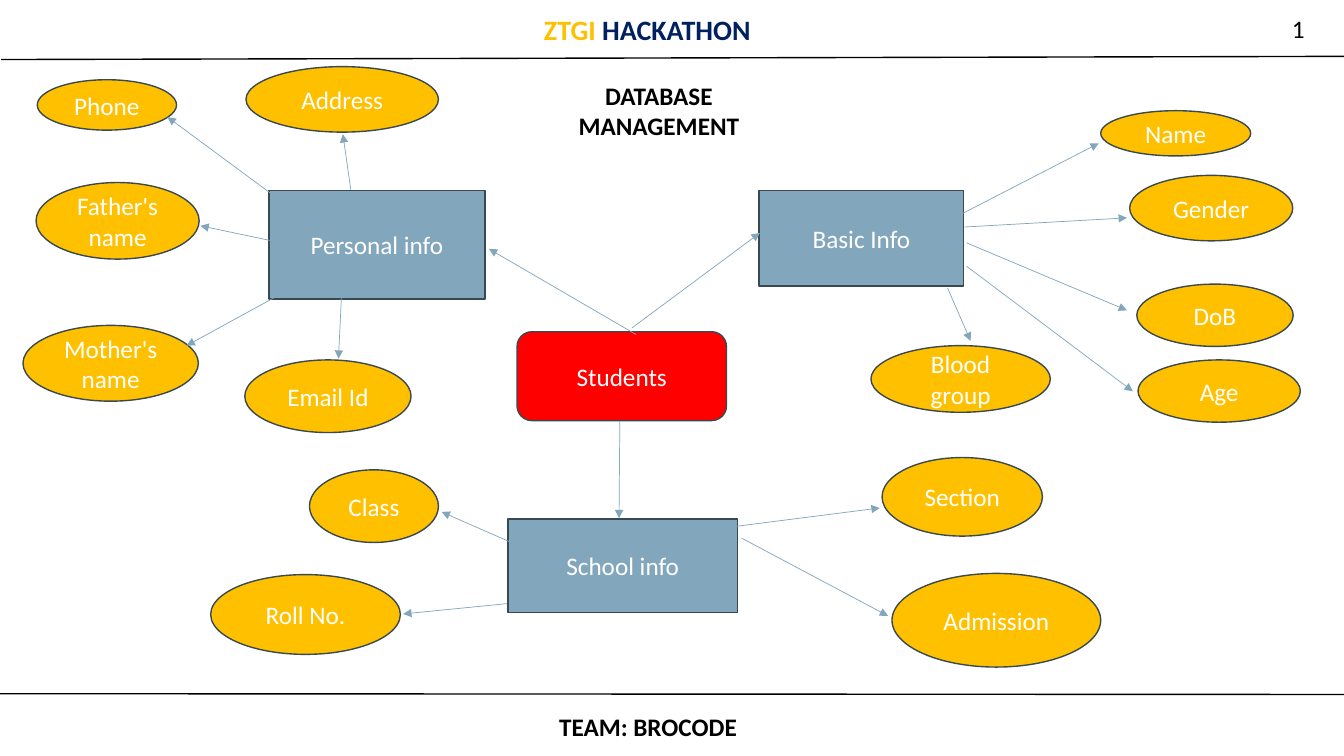
"""Build the student database diagram slide."""
from lxml.etree import SubElement
from pptx import Presentation
from pptx.dml.color import RGBColor
from pptx.enum.shapes import MSO_CONNECTOR, MSO_SHAPE
from pptx.enum.text import MSO_ANCHOR, PP_ALIGN
from pptx.oxml.ns import qn
from pptx.util import Cm, Pt

BLACK = RGBColor(0x00, 0x00, 0x00)
WHITE = RGBColor(0xFF, 0xFF, 0xFF)
GOLD = RGBColor(0xFF, 0xC0, 0x00)
NAVY = RGBColor(0x00, 0x20, 0x60)
RED = RGBColor(0xFF, 0x00, 0x00)
STEEL = RGBColor(0x82, 0xA6, 0xBC)
OUTLINE = RGBColor(0x39, 0x49, 0x52)

prs = Presentation()
prs.slide_width, prs.slide_height = Cm(33.87), Cm(19.05)
slide = prs.slides.add_slide(prs.slide_layouts[6])


def add_line(ends, color, width):
    line = slide.shapes.add_connector(MSO_CONNECTOR.STRAIGHT, *map(Cm, ends))
    line.line.color.rgb = color
    line.line.width = Pt(width)
    SubElement(line._element.spPr, qn("a:effectLst"))
    return line


def write(frame, runs, size, bold, align):
    frame.word_wrap = True
    paragraph = frame.paragraphs[0]
    paragraph.alignment = align
    paragraph.font.name = "Calibri"
    paragraph.font.size = Pt(size)
    paragraph.font.bold = bold
    for text, color in runs:
        run = paragraph.add_run()
        run.text = text
        run.font.color.rgb = color


for rule in [(0.03, 1.5, 33.88, 1.42), (0, 17.48, 33.88, 17.5)]:
    add_line(rule, BLACK, 1)

captions = [
    ((13.84, 17.81, 6.12, 1.02), [("TEAM: BROCODE", BLACK)], 18, True, PP_ALIGN.LEFT),
    ((32.31, 0.2, 0.84, 1.07), [("1", BLACK)], 18, False, PP_ALIGN.LEFT),
    ((13.46, 0.2, 6.91, 1.12), [("ZTGI ", GOLD), ("HACKATHON", NAVY)], 20, True, PP_ALIGN.LEFT),
    ((13.72, 1.9, 5.77, 1.8), [("DATABASE MANAGEMENT", BLACK)], 18, True, PP_ALIGN.CENTER),
]
for box, runs, size, bold, align in captions:
    caption = slide.shapes.add_textbox(*map(Cm, box))
    write(caption.text_frame, runs, size, bold, align)

entities = [
    (MSO_SHAPE.ROUNDED_RECTANGLE, RED, [
        ("Students", 13.03, 8.36, 5.28, 2.24),
    ]),
    (MSO_SHAPE.RECTANGLE, STEEL, [
        ("Basic Info", 19.13, 4.8, 5.16, 2.41),
        ("School info", 12.8, 13.08, 5.79, 2.36),
        ("Personal info", 6.78, 4.8, 5.44, 2.74),
    ]),
    (MSO_SHAPE.OVAL, GOLD, [
        ("Name", 27.74, 2.79, 3.78, 1.14),
        ("Gender", 28.47, 4.42, 4.11, 1.65),
        ("DoB", 28.65, 7.16, 3.94, 1.57),
        ("Age", 28.68, 9.07, 4.09, 1.57),
        ("Blood group", 21.95, 8.71, 4.52, 1.68),
        ("Section", 22.23, 11.53, 4.04, 1.98),
        ("Admission", 22.48, 14.45, 5.26, 2.36),
        ("Class", 7.8, 11.84, 3.25, 1.83),
        ("Roll No.", 5.31, 14.48, 4.78, 2.01),
        ("Phone", 0.94, 2.01, 3.51, 1.27),
        ("Father's name", 0.91, 4.6, 4.11, 1.93),
        ("Mother's name", 0.58, 8.2, 4.42, 1.91),
        ("Email Id", 6.17, 9.07, 4.19, 1.83),
        ("Address", 6.2, 1.68, 4.85, 1.65),
    ]),
]
for outline, fill, members in entities:
    for label, *box in members:
        entity = slide.shapes.add_shape(outline, *map(Cm, box))
        entity.shadow.inherit = False
        entity.fill.solid()
        entity.fill.fore_color.rgb = fill
        entity.line.color.rgb = OUTLINE
        entity.line.width = Pt(1)
        entity.text_frame.vertical_anchor = MSO_ANCHOR.MIDDLE
        write(entity.text_frame, [(label, WHITE)], 18, False, PP_ALIGN.CENTER)

student_arrows = [
    (15.93, 8.26, 19.15, 5.87),
    (16.03, 8.43, 12.32, 6.27),
    (15.62, 10.62, 15.6, 13.06),
]
personal_arrows = [
    (8.84, 4.78, 8.64, 3.38),
    (7.24, 5.18, 4.22, 2.95),
    (6.86, 6.07, 5.05, 5.69),
    (6.93, 7.49, 4.7, 8.71),
    (8.61, 7.37, 8.53, 9.04),
]
school_arrows = [
    (13, 13.72, 11.13, 12.9),
    (12.78, 15.21, 10.16, 15.47),
    (18.57, 13.26, 22.17, 12.8),
    (18.69, 13.56, 22.38, 15.52),
]
basic_arrows = [
    (23.5, 5.77, 27.69, 3.61),
    (24.31, 5.72, 28.4, 5.49),
    (24.36, 6.12, 28.4, 7.82),
    (24.36, 6.71, 28.55, 9.86),
    (23.88, 7.26, 24.46, 8.59),
]
for ends in student_arrows + personal_arrows + school_arrows + basic_arrows:
    arrow = add_line(ends, STEEL, 0.5)
    SubElement(arrow.line._get_or_add_ln(), qn("a:tailEnd"), type="triangle")

prs.save("out.pptx")
